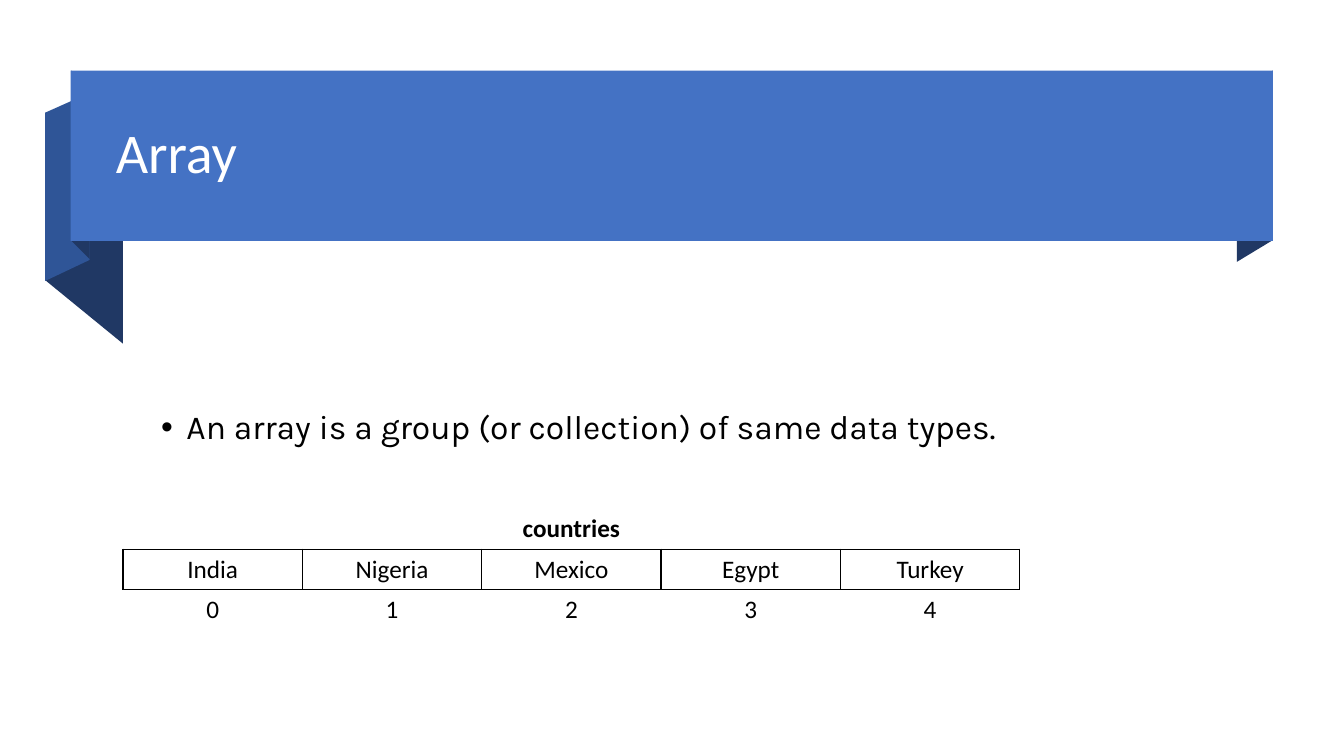
"""Build a slide that introduces arrays with a ribbon title and an indexed table."""
from dataclasses import dataclass

from lxml.etree import SubElement
from pptx import Presentation
from pptx.dml.color import RGBColor as Rgb
from pptx.enum.shapes import MSO_SHAPE as Kind
from pptx.enum.text import MSO_ANCHOR as Anchor, PP_ALIGN as Align
from pptx.oxml.ns import qn
from pptx.slide import Slide
from pptx.table import _Cell as Cell
from pptx.text.text import _Paragraph as Para
from pptx.util import Cm, Pt


@dataclass(frozen=True)
class Theme:
    """Colours, fonts and type sizes."""
    band: str = "4472C4"
    side: str = "2F5597"
    dark: str = "203864"
    white: str = "FFFFFF"
    black: str = "000000"
    main: str = "Calibri"
    body: str = "Karla"
    title: int = 40
    text: int = 24
    small: int = 18


@dataclass(frozen=True)
class Fold:
    """A folded part of the ribbon, with corners in centimetres."""
    color: str
    points: tuple[tuple[float, float], ...]


THEME = Theme()
FOLDS = (
    Fold(THEME.dark, ((1.14, 2.84), (3.1, 4.45), (3.1, 8.66), (1.14, 7.06))),
    Fold(THEME.side, ((1.14, 2.84), (2.26, 2.34), (2.26, 6.55), (1.14, 7.08))),
    Fold(THEME.dark, ((1.8, 1.78), (2.26, 2.26), (2.26, 6.53), (1.8, 6.07))),
    Fold(THEME.dark, ((31.17, 2.31), (32.08, 1.78), (32.08, 6.05), (31.17, 6.6))),
)
NAMES = ("India", "Nigeria", "Mexico", "Egypt", "Turkey")
EDGES = ("L", "R", "T", "B")


def style(para: Para, face: str, size: int, color: str, bold: bool = False) -> None:
    """Set the font of a paragraph."""
    font = para.font
    font.name, font.size, font.bold = face, Pt(size), bold
    font.color.rgb = Rgb.from_string(color)


def paint(shape, color: str) -> None:
    """Give a shape a flat fill without line or shadow."""
    shape.shadow.inherit = False
    shape.fill.solid()
    shape.fill.fore_color.rgb = Rgb.from_string(color)
    shape.line.fill.background()


def draw_fold(slide: Slide, fold: Fold) -> None:
    """Draw one folded part of the ribbon."""
    first, *rest = [(Cm(x), Cm(y)) for x, y in fold.points]
    pen = slide.shapes.build_freeform(*first)
    pen.add_line_segments(rest, close=True)
    paint(pen.convert_to_shape(), fold.color)


def draw_band(slide: Slide, title: str) -> None:
    """Draw the ribbon front with the title on it."""
    band = slide.shapes.add_shape(Kind.RECTANGLE, Cm(1.78), Cm(1.78), Cm(30.3), Cm(4.29))
    paint(band, THEME.band)
    frame = band.text_frame
    frame.margin_left = Cm(1.14)
    frame.vertical_anchor = Anchor.MIDDLE
    para = frame.paragraphs[0]
    para.text, para.alignment, para.line_spacing = title, Align.LEFT, 0.9
    style(para, THEME.main, THEME.title, THEME.white)


def draw_point(slide: Slide, text: str) -> None:
    """Draw the bulleted statement."""
    frame = slide.shapes.add_textbox(Cm(3.81), Cm(10.17), Cm(26.97), Cm(1.27)).text_frame
    frame.word_wrap = True
    frame.vertical_anchor = Anchor.MIDDLE
    para = frame.paragraphs[0]
    para.text, para.line_spacing = text, 0.9
    props = para._p.get_or_add_pPr()
    props.set("marL", str(Cm(0.64)))
    props.set("indent", str(-Cm(0.64)))
    SubElement(props, qn("a:buFont"), typeface="Arial")
    SubElement(props, qn("a:buChar"), char="•")
    style(para, THEME.body, THEME.text, THEME.black)


def edge(cell: Cell, shown: str) -> None:
    """Draw the named cell borders and hide the others."""
    props = cell._tc.get_or_add_tcPr()
    for name in EDGES:
        line = SubElement(props, qn(f"a:ln{name}"), w=str(Pt(1)))
        if name in shown:
            fill = SubElement(line, qn("a:solidFill"))
            SubElement(fill, qn("a:srgbClr"), val=THEME.black)
        else:
            SubElement(line, qn("a:noFill"))
    cell.fill.background()


def draw_table(slide: Slide, head: str, names: tuple[str, ...]) -> None:
    """Draw the named array with the index below each value."""
    count = len(names)
    rows = ((head,) + ("",) * (count - 1), names, tuple(map(str, range(count))))
    frame = slide.shapes.add_table(len(rows), count, Cm(3.1), Cm(12.82), Cm(22.6), Cm(3.06))
    table = frame.table
    table.first_row = table.horz_banding = False
    for row, (texts, shown) in enumerate(zip(rows, ("B", "LRTB", "T"))):
        for col, text in enumerate(texts):
            cell = table.cell(row, col)
            edge(cell, shown)
            para = cell.text_frame.paragraphs[0]
            para.text, para.alignment = text, Align.CENTER
            style(para, THEME.main, THEME.small, THEME.black, row == 0)
    table.cell(0, 0).merge(table.cell(0, count - 1))


def main() -> None:
    """Build and save the slide."""
    deck = Presentation()
    deck.slide_width, deck.slide_height = Cm(33.87), Cm(19.05)
    slide = deck.slides.add_slide(deck.slide_layouts[6])
    for fold in FOLDS:
        draw_fold(slide, fold)
    draw_band(slide, "Array")
    draw_point(slide, "An array is a group (or collection) of same data types.")
    draw_table(slide, "countries", NAMES)
    deck.save("out.pptx")


if __name__ == "__main__":
    main()
